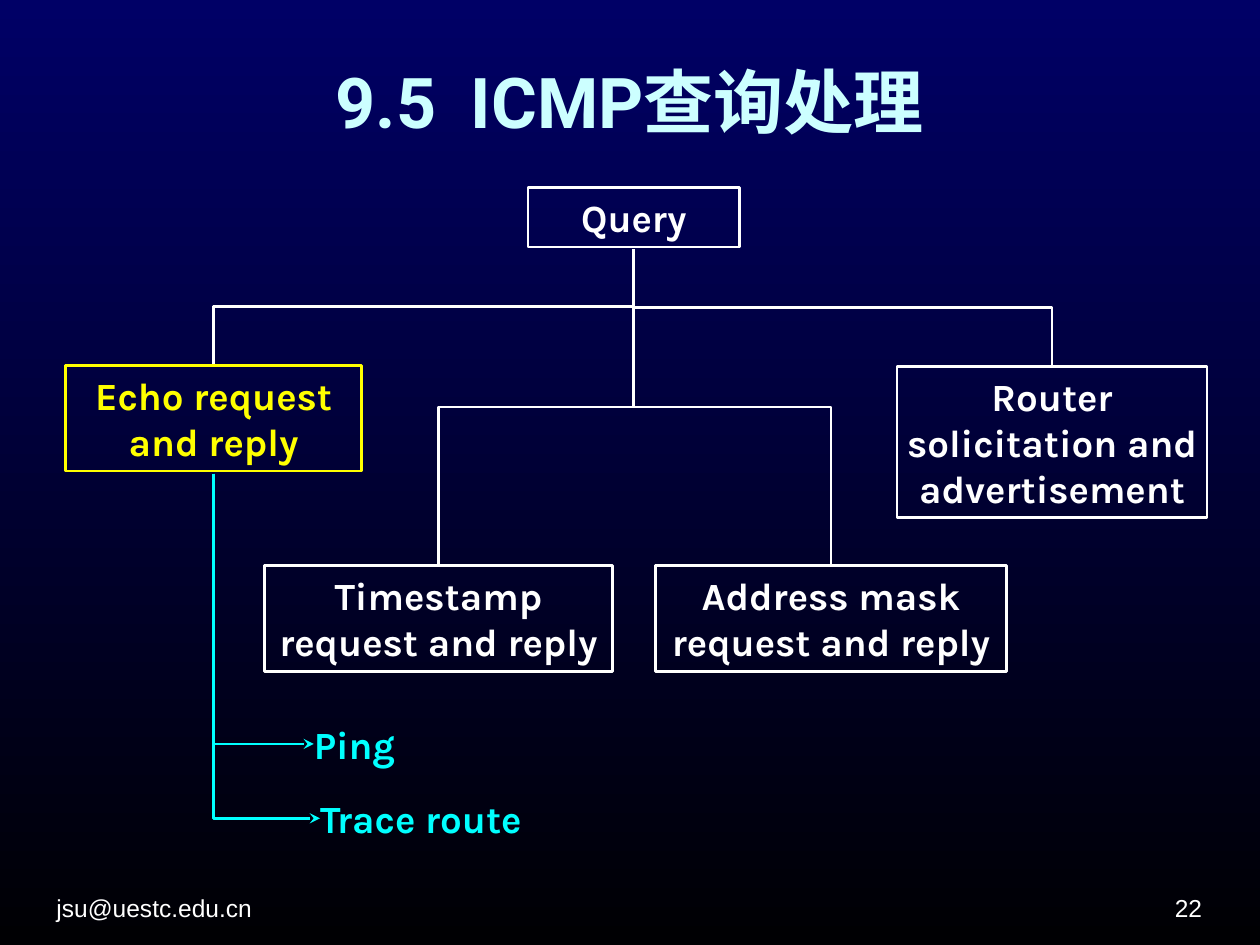
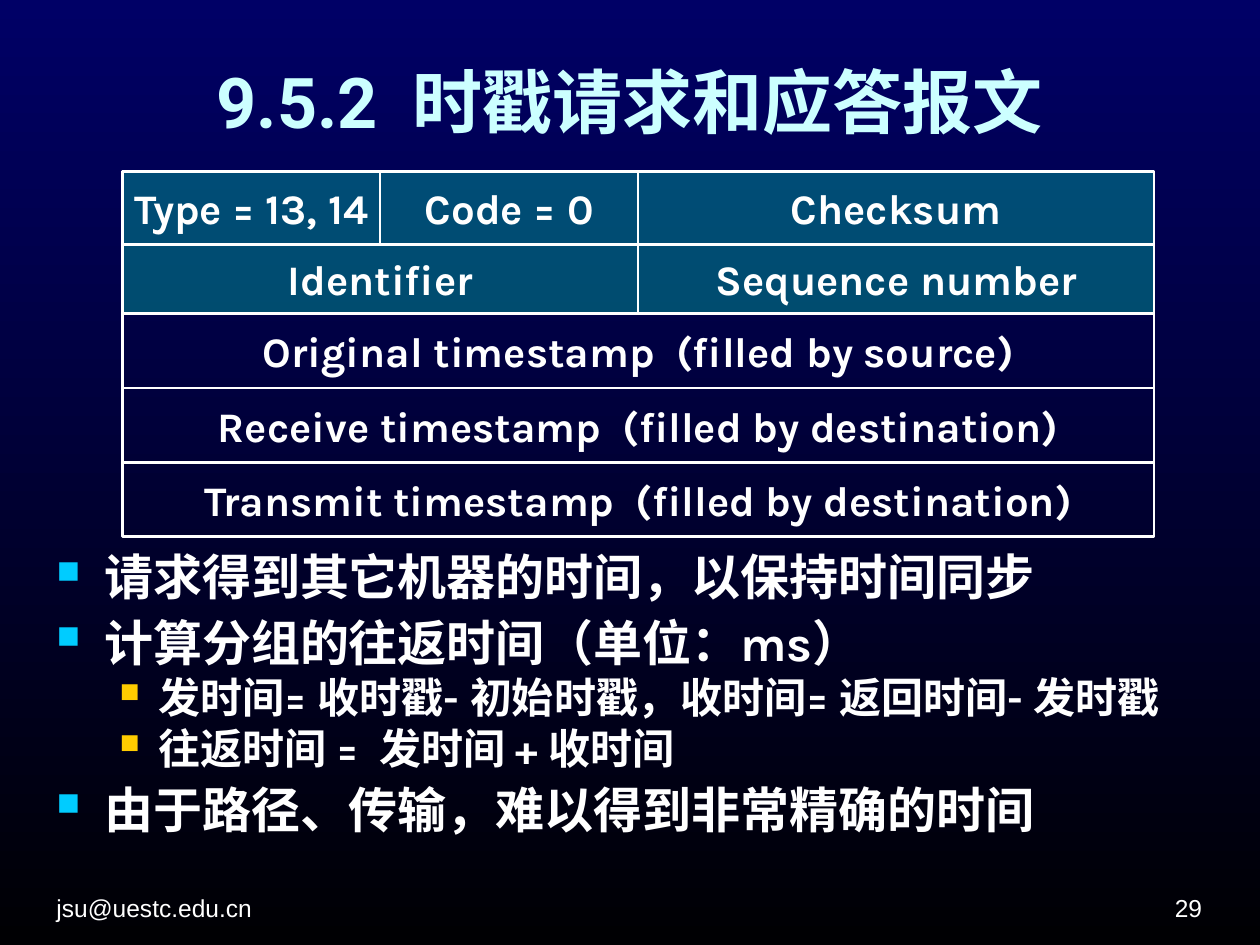
from dataclasses import dataclass
from lxml.etree import SubElement
from pptx import Presentation
from pptx.dml.color import RGBColor
from pptx.enum.shapes import MSO_CONNECTOR, MSO_SHAPE
from pptx.enum.text import MSO_ANCHOR, PP_ALIGN
from pptx.oxml.ns import qn
from pptx.util import Inches, Pt


@dataclass(frozen=True)
class Theme:
    top: str = "000066"
    base: str = "000003"
    head: str = "CCFFFF"
    text: str = "FFFFFF"
    mark: str = "FFFF00"
    link: str = "00FFFF"
    cell: str = "009999"
    dots: tuple = ("00CCFF", "FFCC00")
    title: str = "Roboto"
    body: str = "Karla"
    foot: str = "Arial"
    big: int = 40
    node: int = 22
    field: int = 24
    small: int = 14
    levels: tuple = (28, 24)
    line: float = 1.5


T = Theme()
TITLE = (0.35, 0.13, 9.29, 1.34)
TREE = (0.52, 1.49, 9.06, 5.24)
PACKET = (0.97, 1.36, 8.19, 2.9)
NOTES = (0.35, 4.38, 9.29, 2.68)
FOOT = (0.35, 6.9, 9.29, 0.47)


def rgb(code):
    return RGBColor.from_string(code)


def write(para, text, size, font, color, bold=True):
    run = para.add_run()
    run.text = text
    run.font.size = Pt(size)
    run.font.name = font
    run.font.bold = bold
    run.font.color.rgb = rgb(color)


def setup(shape, anchor, side=0.1, wrap=True):
    frame = shape.text_frame
    frame.word_wrap = wrap
    frame.vertical_anchor = anchor
    frame.margin_left = frame.margin_right = Inches(side)
    frame.margin_top = frame.margin_bottom = Inches(0.05)
    return frame


def label(slide, box, text, size, font, color, align=PP_ALIGN.LEFT,
          anchor=MSO_ANCHOR.TOP, side=0.1, bold=True):
    shape = slide.shapes.add_textbox(*map(Inches, box))
    para = setup(shape, anchor, side).paragraphs[0]
    para.alignment = align
    write(para, text, size, font, color, bold)


def frame(slide, box, text, size, color, anchor, side, wrap=True):
    """Outlined rectangle with centred text."""
    shape = slide.shapes.add_shape(MSO_SHAPE.RECTANGLE, *map(Inches, box))
    shape.shadow.inherit = False
    shape.fill.background()
    shape.line.color.rgb = rgb(color)
    shape.line.width = Pt(T.line)
    para = setup(shape, anchor, side, wrap).paragraphs[0]
    para.alignment = PP_ALIGN.CENTER
    write(para, text, size, T.body, color)
    return shape


def bend(slide, start, end, color, arrow=False):
    """Elbow that leaves downwards; an arrow turns once, a branch twice."""
    (x1, y1), (x2, y2) = start, end
    wide, high = abs(x2 - x1), y2 - y1
    left = (x1 + x2 - high) / 2
    top = (y1 + y2 - wide) / 2
    line = slide.shapes.add_connector(
        MSO_CONNECTOR.ELBOW, Inches(left), Inches(top),
        Inches(left + high), Inches(top + wide))
    line.line.color.rgb = rgb(color)
    line.line.width = Pt(T.line)
    props = line._element.spPr
    turn = props.find(qn("a:xfrm"))
    if x2 < x1:
        turn.set("rot", "5400000")
    else:
        turn.set("rot", "16200000")
        turn.set("flipH", "1")
    if arrow:
        props.find(qn("a:prstGeom")).set("prst", "bentConnector2")
        SubElement(props.find(qn("a:ln")), qn("a:tailEnd"), type="stealth")
    SubElement(props, qn("a:effectLst"))


def start(deck, title, number):
    """Background, title and footer shared by the slides."""
    slide = deck.slides.add_slide(deck.slide_layouts[6])
    fill = slide.background.fill
    fill.gradient()
    fill.gradient_angle = 270
    for stop, color in zip(fill.gradient_stops, (T.top, T.base)):
        stop.color.rgb = rgb(color)
    label(slide, TITLE, title, T.big, T.title, T.head,
          PP_ALIGN.CENTER, MSO_ANCHOR.MIDDLE)
    x, y, w, h = FOOT
    part = 2.33
    for left, text, align in ((x, "jsu@uestc.edu.cn", PP_ALIGN.LEFT),
                              (x + w - part, number, PP_ALIGN.RIGHT)):
        label(slide, (left, y, part, h), text, T.small, T.foot, T.text,
              align, MSO_ANCHOR.BOTTOM, bold=False)
    return slide


def tree(slide, box):
    """Query types, with the tools that use echo messages."""
    x, y = box[:2]
    gap = 0.02

    def node(place, text, color=T.text):
        left, top, w, h = place
        frame(slide, (x + left, y + top, w, h), text, T.node, color,
              MSO_ANCHOR.TOP, 0)
        mid = x + left + w / 2
        return (mid, y + top), (mid, y + top + h + gap)

    root = node((3.67, 0, 1.68, 0.47), "Query")[1]
    echo = node((0, 1.41, 2.35, 0.84), "Echo request and reply", T.mark)
    kids = [echo] + [node(*kid) for kid in (
        ((1.58, 3, 2.76, 0.84), "Timestamp request and reply"),
        ((4.68, 3, 2.79, 0.84), "Address mask request and reply"),
        ((6.6, 1.42, 2.46, 1.2), "Router solicitation and advertisement"))]
    for head, _ in kids:
        bend(slide, root, (head[0], head[1] - gap / 2), T.text)

    # Tools
    high = 0.47
    for left, top, w, text in ((1.97, 4.18, 0.78, "Ping"),
                               (2.02, 4.77, 1.93, "Trace route")):
        label(slide, (x + left, y + top, w, high), text, T.node, T.body,
              T.link, side=0)
        bend(slide, echo[1], (x + left, y + top + high / 2), T.link, True)


def packet(slide, box):
    """Message fields; each span counts quarters of the width."""
    x, y, w, h = box
    rows = (
        (0.58, True, (("Type = 13, 14", 1), ("Code = 0", 1), ("Checksum", 2))),
        (0.55, True, (("Identifier", 2), ("Sequence number", 2))),
        (0.59, False, (("Original timestamp  (filled by source)", 4),)),
        (0.59, False, (("Receive timestamp  (filled by destination)", 4),)),
        (0.59, False, (("Transmit timestamp  (filled by destination)", 4),)),
    )
    unit = h / sum(row[0] for row in rows)
    for high, tint, cells in rows:
        left = x
        for text, span in cells:
            wide = w * span / 4
            shape = frame(slide, (left, y, wide, high * unit), text, T.field,
                          T.text, MSO_ANCHOR.MIDDLE, 0.1, False)
            if tint:
                shape.fill.solid()
                shape.fill.fore_color.rgb = rgb(T.cell)
                color = shape._element.spPr.find(
                    qn("a:solidFill")).find(qn("a:srgbClr"))
                SubElement(color, qn("a:alpha"), val="50000")
            left += wide
        y += high * unit


def bullet(para, level):
    props = para._p.get_or_add_pPr()
    left, hang = ((0.38, 0.38), (0.81, 0.31))[level]
    props.set("marL", str(Inches(left)))
    props.set("indent", str(-Inches(hang)))
    tint = SubElement(props, qn("a:buClr"))
    SubElement(tint, qn("a:srgbClr"), val=T.dots[level])
    SubElement(props, qn("a:buSzPct"), val="65000")
    SubElement(props, qn("a:buChar"), char="■")


def notes(slide, box):
    """Two-level list below the packet."""
    shape = slide.shapes.add_textbox(*map(Inches, box))
    body = setup(shape, MSO_ANCHOR.TOP)
    items = (
        (0, "请求得到其它机器的时间，以保持时间同步"),
        (0, "计算分组的往返时间（单位：ms）"),
        (1, "发时间= 收时戳- 初始时戳，收时间= 返回时间- 发时戳"),
        (1, "往返时间 =  发时间 + 收时间"),
        (0, "由于路径、传输，难以得到非常精确的时间"),
    )
    for i, (level, text) in enumerate(items):
        para = body.add_paragraph() if i else body.paragraphs[0]
        bullet(para, level)
        para.level = level
        para.line_spacing = 0.8
        if i:
            para.space_before = Pt((10.5, 6)[level])
        write(para, text, T.levels[level], T.body, T.text)


def main():
    deck = Presentation()
    deck.slide_width, deck.slide_height = Inches(10), Inches(7.5)
    tree(start(deck, "9.5  ICMP查询处理", "22"), TREE)
    slide = start(deck, "9.5.2  时戳请求和应答报文", "29")
    notes(slide, NOTES)
    packet(slide, PACKET)
    deck.save("out.pptx")


if __name__ == "__main__":
    main()
